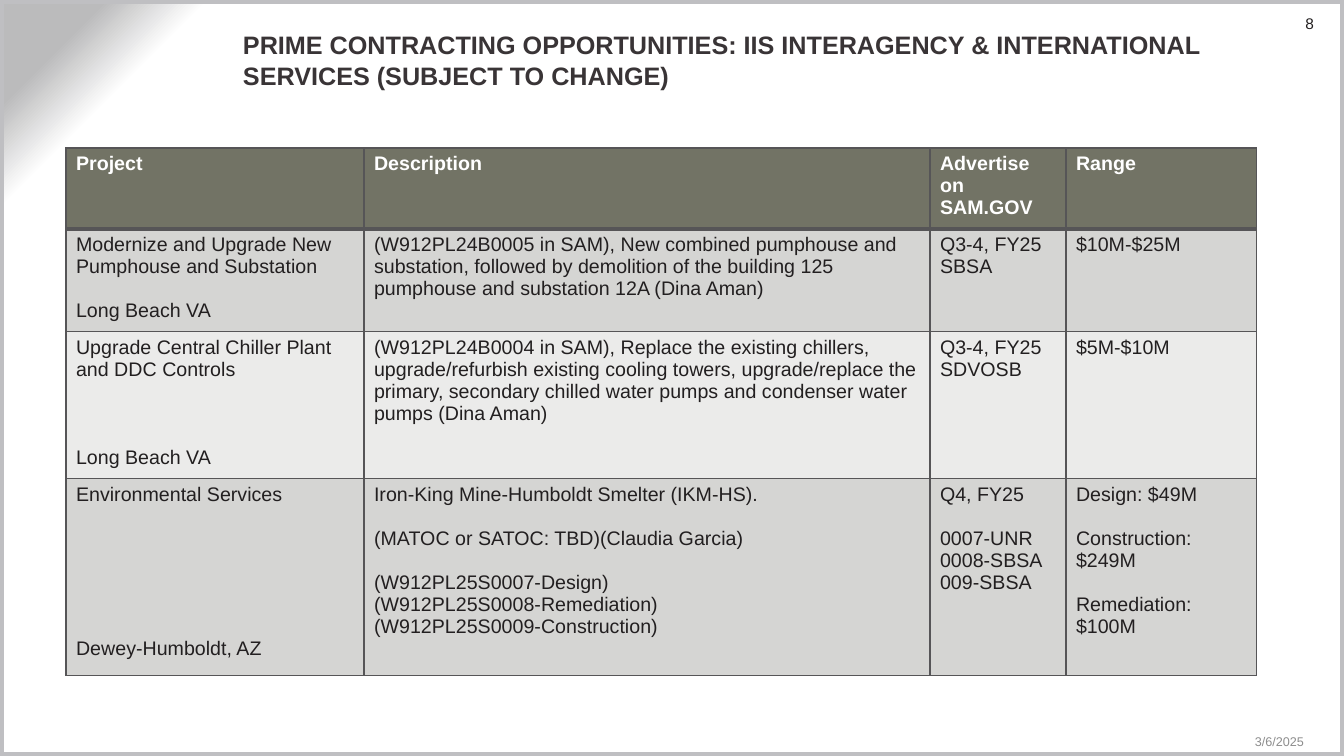
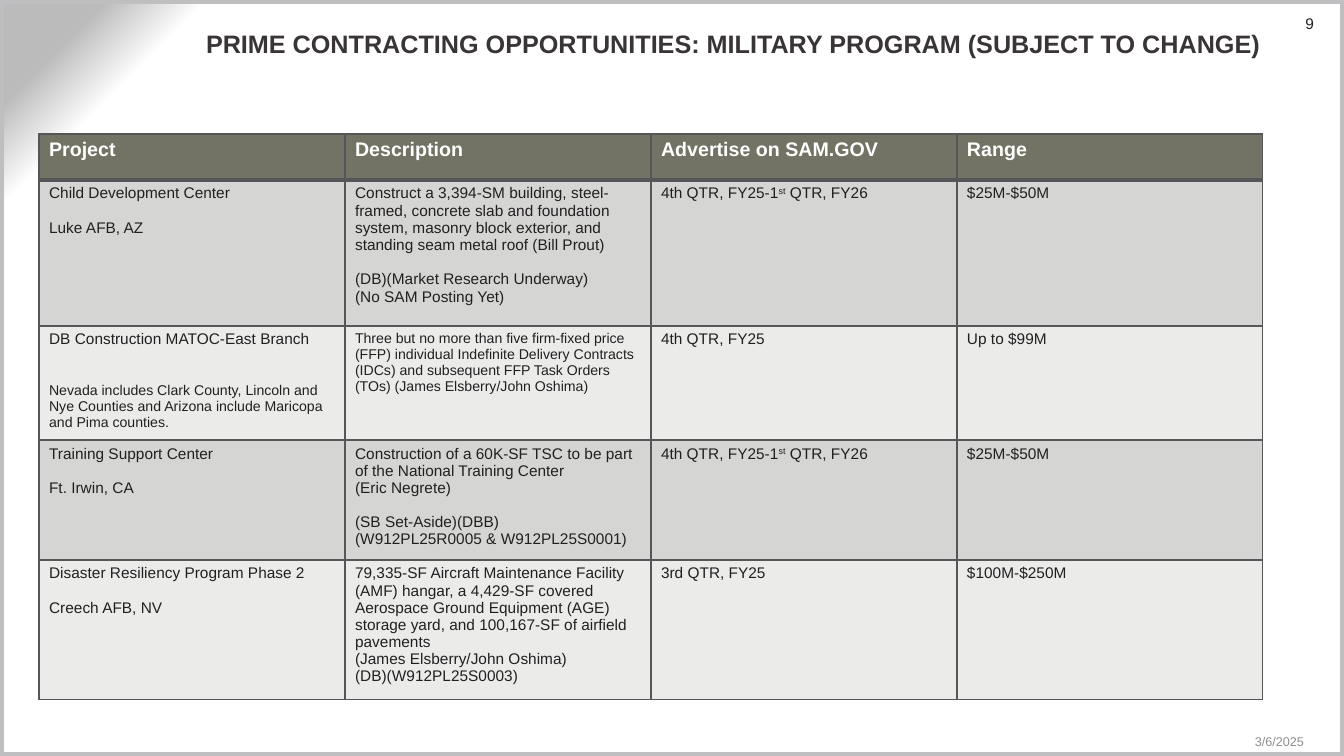
import pptx
import pptx.util
import pptx.dml.color
import pptx.enum.shapes
import pptx.enum.text
import pptx.oxml
import pptx.oxml.ns

RGBColor = pptx.dml.color.RGBColor
Pt = pptx.util.Pt
ALIGN = pptx.enum.text.PP_ALIGN
MIDDLE = pptx.enum.text.MSO_ANCHOR.MIDDLE

PX = 12192000 / 1344
FONT = "Arial"
INK = RGBColor(0x22, 0x1F, 0x20)
TITLE_INK = RGBColor(0x39, 0x34, 0x36)
DATE_INK = RGBColor(0x8D, 0x8D, 0x8D)
WHITE = RGBColor(0xFF, 0xFF, 0xFF)
FRAME = RGBColor(0xBF, 0xBF, 0xC2)
HEADER = RGBColor(0x72, 0x73, 0x65)
BANDS = [RGBColor(0xEB, 0xEB, 0xEA), RGBColor(0xD5, 0xD5, 0xD3)]
GRID = RGBColor(0x56, 0x55, 0x57)
CORNER = RGBColor(0xBB, 0xBB, 0xBC)
NS = pptx.oxml.ns.nsdecls("a")

HEADINGS = ["Project", "Description", "Advertise on SAM.GOV", "Range"]
SMALL_MARK, SMALL_SIZE, RAISED_MARK = "~", 10.1, "^"
LINE_FACTOR = 1.125

PAGES = [
    {
        "number": 8,
        "title": "PRIME CONTRACTING OPPORTUNITIES: IIS INTERAGENCY & INTERNATIONAL SERVICES (SUBJECT TO CHANGE)",
        "title_box": (238, 14, 1077, 92),
        "origin": (66, 148),
        "widths": [298, 566, 136, 191],
        "heights": [76, 102, 147, 197],
        "size": 14,
        "projects": [
            ["Modernize and Upgrade New Pumphouse and Substation\n\nLong Beach VA",
             "(W912PL24B0005 in SAM), New combined pumphouse and substation, followed by demolition "
             "of the building 125 pumphouse and substation 12A (Dina Aman)",
             "Q3-4, FY25\nSBSA", "$10M-$25M"],
            ["Upgrade Central Chiller Plant and DDC Controls\n\n\n\nLong Beach VA",
             "(W912PL24B0004 in SAM), Replace the existing chillers, upgrade/refurbish existing "
             "cooling towers, upgrade/replace the primary, secondary chilled water pumps and "
             "condenser water pumps (Dina Aman)",
             "Q3-4, FY25\nSDVOSB", "$5M-$10M"],
            ["Environmental Services\n\n\n\n\n\n\nDewey-Humboldt, AZ",
             "Iron-King Mine-Humboldt Smelter (IKM-HS).\n\n(MATOC or SATOC: TBD)(Claudia Garcia)\n\n"
             "(W912PL25S0007-Design)\n(W912PL25S0008-Remediation)\n(W912PL25S0009-Construction)",
             "Q4, FY25\n\n0007-UNR\n0008-SBSA\n009-SBSA",
             "Design: $49M\n\nConstruction: $249M\n\nRemediation: $100M"],
        ],
    },
    {
        "number": 9,
        "title": "PRIME CONTRACTING OPPORTUNITIES: MILITARY PROGRAM (SUBJECT TO CHANGE)",
        "title_box": (201, 0, 1123, 86),
        "origin": (39, 134),
        "widths": [306] * 4,
        "heights": [46, 146, 109, 113, 130],
        "size": 11,
        "projects": [
            ["Child Development Center\n\nLuke AFB, AZ",
             "Construct a 3,394-SM building, steel-framed, concrete slab and foundation system, "
             "masonry block exterior, and standing seam metal roof (Bill Prout)\n\n"
             "(DB)(Market Research Underway)\n(No SAM Posting Yet)",
             "4th QTR, FY25-1^st^ QTR, FY26", "$25M-$50M"],
            ["DB Construction MATOC-East Branch\n\n\n~Nevada includes Clark County, Lincoln and "
             "Nye Counties and Arizona include Maricopa and Pima counties.",
             "~Three but no more than five firm-fixed price (FFP) individual Indefinite Delivery "
             "Contracts (IDCs) and subsequent FFP Task Orders (TOs) (James Elsberry/John Oshima)",
             "4th QTR, FY25", "Up to $99M"],
            ["Training Support Center\n\nFt. Irwin, CA",
             "Construction of a 60K-SF TSC to be part of the National Training Center\n"
             "(Eric Negrete)\n\n(SB Set-Aside)(DBB)\n(W912PL25R0005 & W912PL25S0001)",
             "4th QTR, FY25-1^st^ QTR, FY26", "$25M-$50M"],
            ["Disaster Resiliency Program Phase 2\n\nCreech AFB, NV",
             "79,335-SF Aircraft Maintenance Facility (AMF) hangar, a 4,429-SF covered Aerospace "
             "Ground Equipment (AGE) storage yard, and 100,167-SF of airfield pavements\n"
             "(James Elsberry/John Oshima)\n(DB)(W912PL25S0003)",
             "3rd QTR, FY25", "$100M-$250M"],
        ],
    },
]


def emu(*lengths):
    return [round(length * PX) for length in lengths]


def style(paragraph, size, color, bold=False, align=ALIGN.LEFT):
    paragraph.alignment = align
    font = paragraph.font
    font.name, font.size, font.bold = FONT, Pt(size), bold
    font.color.rgb = color


prs = pptx.Presentation()
prs.slide_width, prs.slide_height = emu(1344, 756)

backdrop = prs.slide_master.background.fill
backdrop.gradient()
gradient = prs.slide_master.element.find(".//" + pptx.oxml.ns.qn("a:gradFill"))
gradient.getparent().replace(gradient, pptx.oxml.parse_xml(
    f'<a:gradFill {NS} rotWithShape="1"><a:gsLst>'
    f'<a:gs pos="85000"><a:srgbClr val="{WHITE}"/></a:gs>'
    f'<a:gs pos="90000"><a:srgbClr val="{WHITE}"><a:alpha val="35000"/></a:srgbClr></a:gs>'
    f'<a:gs pos="95000"><a:srgbClr val="{CORNER}"/></a:gs></a:gsLst>'
    '<a:path path="circle"><a:fillToRect l="100000" t="100000"/></a:path></a:gradFill>'))

for page in PAGES:
    slide = prs.slides.add_slide(prs.slide_layouts[5])

    frame = slide.shapes.add_shape(pptx.enum.shapes.MSO_SHAPE.RECTANGLE, *emu(0, 0, 1344, 756))
    frame.shadow.inherit = False
    frame.fill.background()
    frame.line.color.rgb = FRAME
    frame.line.width = Pt(6)

    title = slide.shapes.title
    title.left, title.top, title.width, title.height = emu(*page["title_box"])
    heading = title.text_frame
    heading.text = page["title"]
    heading.auto_size = pptx.enum.text.MSO_AUTO_SIZE.NONE
    heading.vertical_anchor = MIDDLE
    heading.margin_left, heading.margin_top, heading.margin_right, heading.margin_bottom = emu(5, 0, 0, 0)
    style(heading.paragraphs[0], 18, TITLE_INK, True)

    for text, box, size, color, right_inset in [
        (str(page["number"]), (1254, 14, 60, 19), 11, INK, 0),
        ("3/6/2025", (1012, 732, 302, 20), 9, DATE_INK, 10),
    ]:
        corner_note = slide.shapes.add_textbox(*emu(*box)).text_frame
        corner_note.word_wrap = True
        corner_note.vertical_anchor = MIDDLE
        corner_note.margin_top = corner_note.margin_bottom = 0
        corner_note.margin_right = emu(right_inset)[0]
        corner_note.text = text
        style(corner_note.paragraphs[0], size, color, align=ALIGN.RIGHT)

    rows = [HEADINGS] + page["projects"]
    extent = sum(page["widths"]), sum(page["heights"])
    opportunities = slide.shapes.add_table(len(rows), len(HEADINGS), *emu(*page["origin"], *extent)).table
    for column, width in zip(opportunities.columns, emu(*page["widths"])):
        column.width = width
    for row, height in zip(opportunities.rows, emu(*page["heights"])):
        row.height = height

    for r, row in enumerate(rows):
        is_header = r == 0
        for c, content in enumerate(row):
            cell = opportunities.cell(r, c)
            cell.fill.solid()
            cell.fill.fore_color.rgb = HEADER if is_header else BANDS[r % 2]
            borders = {"L": 1, "R": 1, "T": 3 if r == 1 else 1, "B": 3 if is_header else 1}
            for place, (side, width) in enumerate(borders.items()):
                cell._tc.get_or_add_tcPr().insert(place, pptx.oxml.parse_xml(
                    f'<a:ln{side} {NS} w="{Pt(width)}"><a:solidFill>'
                    f'<a:srgbClr val="{GRID}"/></a:solidFill></a:ln{side}>'))

            base_size = 14 if is_header else page["size"]
            paragraph, gap = None, 0
            for line in content.split("\n"):
                if not line:
                    gap += 1
                    continue
                paragraph = cell.text_frame.add_paragraph() if paragraph else cell.text_frame.paragraphs[0]
                size = SMALL_SIZE if line.startswith(SMALL_MARK) else base_size
                for part, piece in enumerate(line.lstrip(SMALL_MARK).split(RAISED_MARK)):
                    run = paragraph.add_run()
                    run.text = piece
                    if part % 2:
                        run._r.get_or_add_rPr().set("baseline", "30000")
                style(paragraph, size, WHITE if is_header else INK, is_header)
                if gap:
                    paragraph.space_before = Pt(gap * base_size * LINE_FACTOR)
                gap = 0

prs.save("out.pptx")
